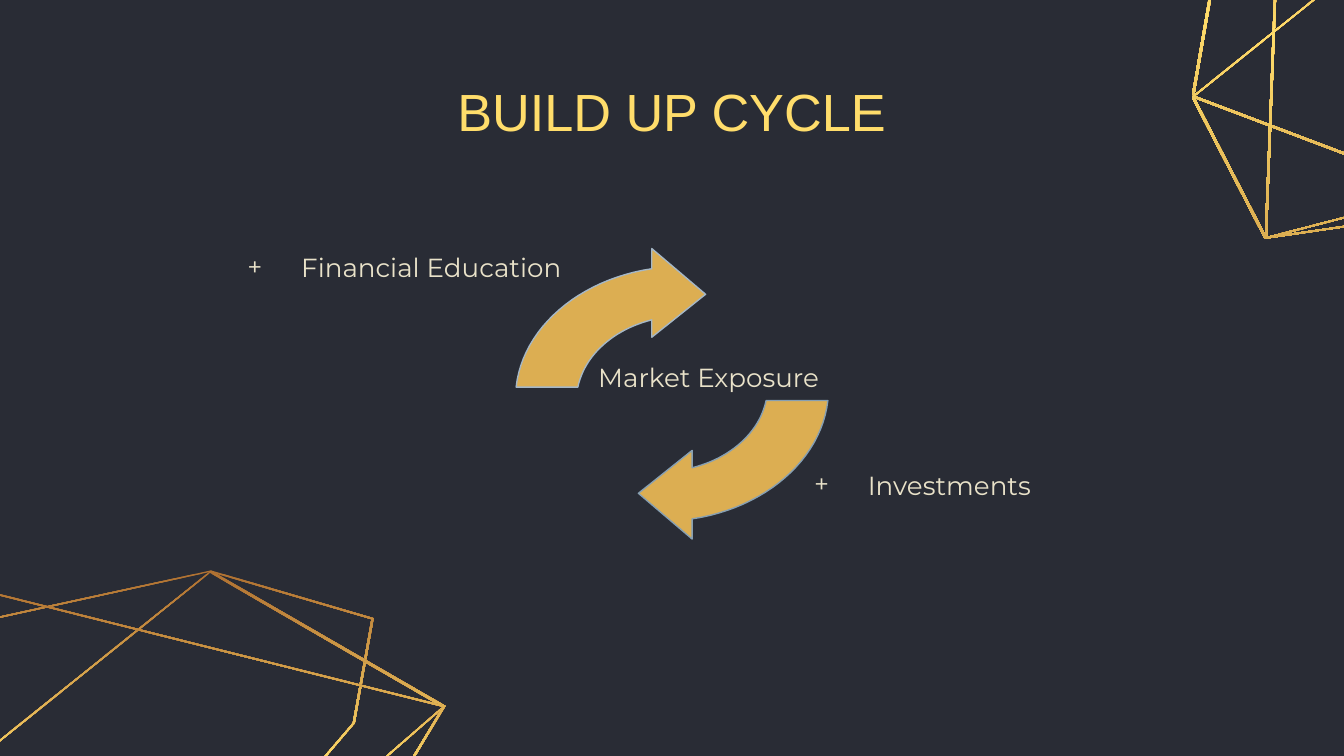
from copy import deepcopy

from lxml.etree import SubElement
from pptx import Presentation
from pptx.dml.color import RGBColor as RGB
from pptx.enum.text import MSO_ANCHOR as Anchor, MSO_AUTO_SIZE as Fit, PP_ALIGN as Align
from pptx.oxml.ns import qn
from pptx.util import Pt

COLORS = {
    "night": "292C35", "sun": "FFDD6B", "bronze": "AF7132", "gold": "DCAE52",
    "cream": "E9E2C9", "mist": "A5B7C6", "steel": "869FB2",
}
GEMS = [
    [(-77, 458), (-57, 342.7), (113, 305.6), (200.2, 331.2), (190.1, 387.4), (79.2, 517)],
    [(-37.8, 534), (-77, 458), (113, 305.6), (238.7, 378.2), (79.2, 517)],
    [(-37.8, 534), (-29.2, 311), (238.7, 378.2), (178.6, 478)],
]
OUTER = [(349.2, 144), (310.3, 149.8), (280, 175.7), (276.5, 207.4)]
INNER = [(309.6, 207.4), (313.2, 190.1), (329, 176.4), (349.2, 171.4)]
HEAD = [(349.2, 180.7), (378, 157.7), (349.2, 133.2)]


def color(name):
    return RGB.from_string(COLORS[name])


def draw(slide, *loops):
    """Add one freeform whose loops are lists of points."""
    pen = None
    for loop in loops:
        first, *rest = [(Pt(x), Pt(y)) for x, y in loop]
        if pen:
            pen.move_to(*first)
        else:
            pen = slide.shapes.build_freeform(*first, scale=1.0)
        pen.add_line_segments(rest, close=True)
    shape = pen.convert_to_shape()
    shape.shadow.inherit = False
    return shape


def shade(shape, names):
    """Fill from top to bottom with evenly spaced colours."""
    fill = shape.fill
    fill.gradient()
    fill.gradient_angle = 270
    stops = shape._element.spPr.find(".//" + qn("a:gsLst"))
    while len(stops) < len(names):
        stops.append(deepcopy(stops[0]))
    for i, (stop, name) in enumerate(zip(fill.gradient_stops, names)):
        stop.color.rgb = color(name)
        stop.position = i / (len(names) - 1)


def add_gem(slide, dx, dy):
    """Draw overlapping thin rings, each a polygon with a slightly smaller hole."""
    for gem in GEMS:
        outer = [(x + dx, y + dy) for x, y in gem]
        mx, my = (sum(axis) / len(gem) for axis in zip(*outer))
        hole = [(mx + (x - mx) * 0.99, my + (y - my) * 0.99) for x, y in outer]
        ring = draw(slide, outer, hole)
        shade(ring, ["bronze", "sun", "gold"])
        ring.line.fill.background()


def curve(ends, steps=24):
    """Return points along a cubic Bezier curve."""
    a, b, c, d = ends
    ts = [i / steps for i in range(steps + 1)]
    return [tuple((1 - t) ** 3 * p + 3 * t * (1 - t) ** 2 * q
                  + 3 * t * t * (1 - t) * r + t ** 3 * s
                  for p, q, r, s in zip(a, b, c, d)) for t in ts]


def add_arrow(slide, points, edge):
    arrow = draw(slide, points)
    arrow.fill.solid()
    arrow.fill.fore_color.rgb = color("gold")
    arrow.line.color.rgb = color(edge)
    arrow.line.width = Pt(0.75)


def set_bullet(para, sign, tint):
    props = para._p.get_or_add_pPr()
    props.set("marL", str(Pt(36) if sign else 0))
    props.set("indent", str(Pt(-28.8) if sign else 0))
    if not sign:
        SubElement(props, qn("a:buNone"))
        return
    clr = SubElement(props, qn("a:buClr"))
    SubElement(clr, qn("a:srgbClr"), val=COLORS[tint])
    SubElement(props, qn("a:buFont"), typeface="Montserrat")
    SubElement(props, qn("a:buChar"), char=sign)


def put_text(box, text, at, size=14, font="Montserrat", tint="cream",
             align=Align.CENTER, anchor=Anchor.TOP, bullet=None):
    box.left, box.top, box.width, box.height = map(Pt, at)
    frame = box.text_frame
    frame.word_wrap = True
    frame.auto_size = Fit.NONE
    frame.vertical_anchor = anchor
    frame.margin_left = frame.margin_right = Pt(7.2)
    frame.margin_top = frame.margin_bottom = Pt(7.2)
    para = frame.paragraphs[0]
    para.alignment = align
    para.space_before = Pt(0)
    set_bullet(para, bullet, tint)
    run = para.add_run()
    run.text = text
    run.font.size = Pt(size)
    run.font.name = font
    run.font.bold = False
    run.font.color.rgb = color(tint)


def main():
    deck = Presentation()
    deck.slide_width, deck.slide_height = Pt(720), Pt(405)
    slide = deck.slides.add_slide(deck.slide_layouts[4])
    slide.background.fill.solid()
    slide.background.fill.fore_color.rgb = color("night")

    add_gem(slide, 0, 0)
    add_gem(slide, 715.3, -406)
    up = curve(OUTER) + curve(INNER) + HEAD
    add_arrow(slide, up, "mist")
    add_arrow(slide, [(720 - x, 422 - y) for x, y in up], "steel")

    title, market, study, spare, invest = slide.placeholders
    put_text(title, "BUILD UP CYCLE", (157, 42.5, 405.4, 33.8), size=28,
             font="Arial", tint="sun", anchor=Anchor.MIDDLE)
    put_text(study, "Financial Education", (114.5, 127.4, 197.3, 44.6), bullet="+")
    put_text(invest, "Investments", (419, 244, 143.3, 44.6), bullet="+")
    put_text(market, "Market Exposure", (313.2, 186.5, 139, 28.8), align=Align.LEFT)
    spare._element.getparent().remove(spare._element)
    for box in (title, study, invest, market):
        slide.shapes._spTree.append(box._element)

    deck.save("out.pptx")


if __name__ == "__main__":
    main()
